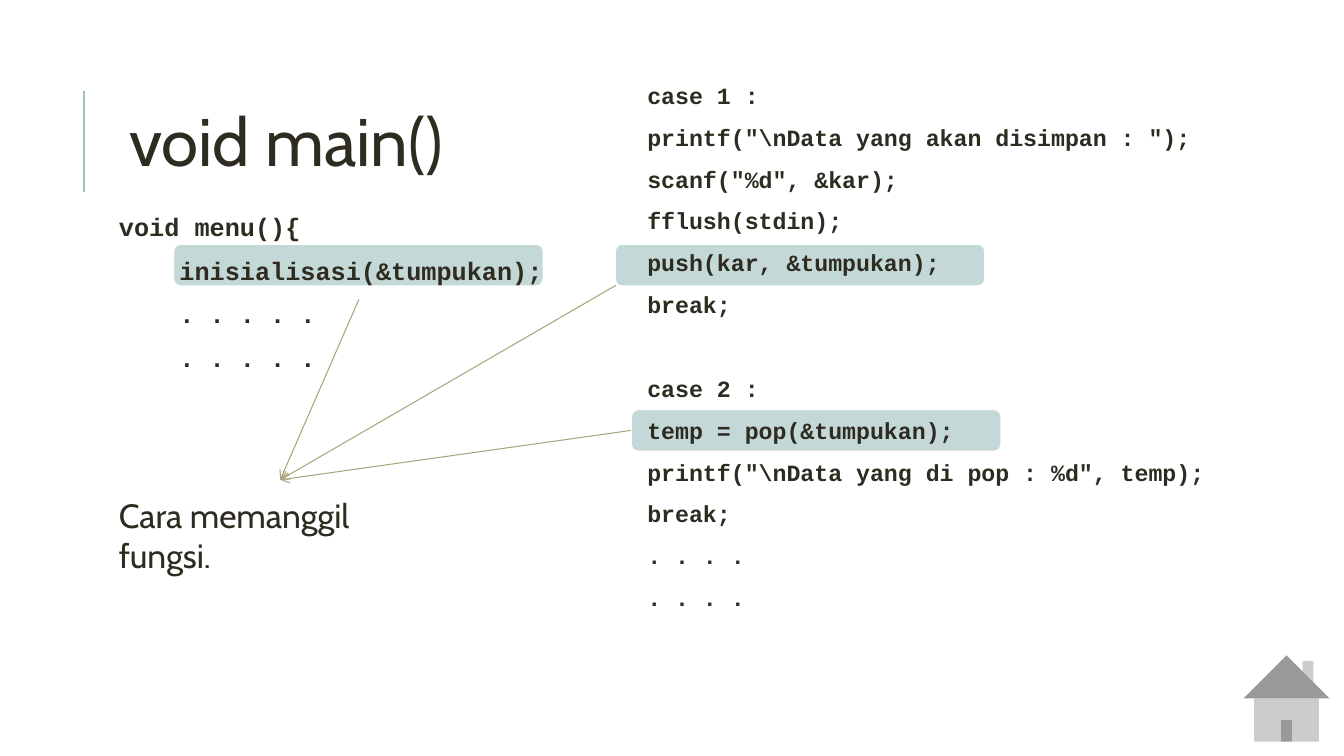
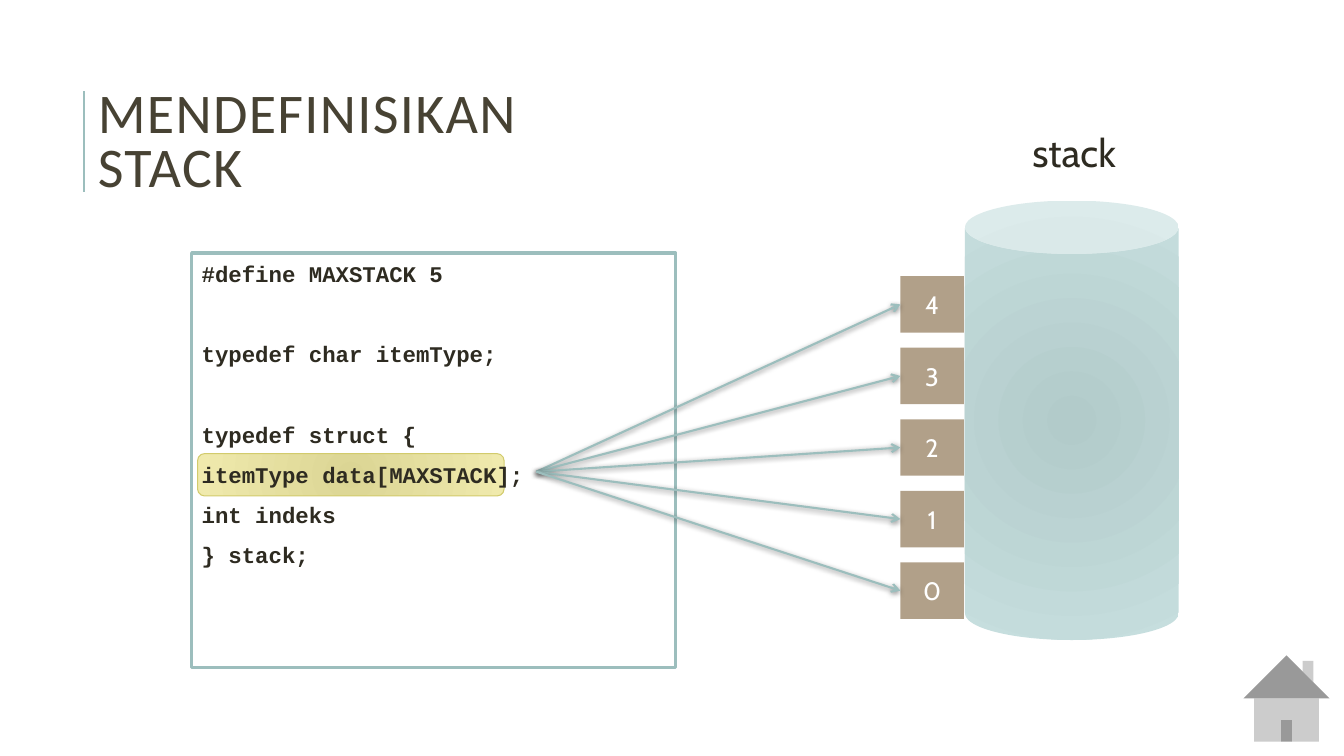
from lxml import etree
from pptx import Presentation
from pptx.dml.color import RGBColor
from pptx.enum.shapes import MSO_CONNECTOR, MSO_SHAPE
from pptx.enum.text import MSO_ANCHOR, MSO_AUTO_SIZE, PP_ALIGN
from pptx.oxml.ns import qn
from pptx.util import Pt

EMU_PER_PX = 9144
INK = RGBColor(0x2E, 0x2B, 0x21)
TITLE_BROWN = RGBColor(0x47, 0x42, 0x33)
TEAL = RGBColor(0x9C, 0xBE, 0xBD)
PALE_TEAL = RGBColor(0xC4, 0xD8, 0xD7)
OLIVE = RGBColor(0xA9, 0xA5, 0x7C)
TAN = RGBColor(0xB1, 0xA0, 0x89)
WHITE = RGBColor(0xFF, 0xFF, 0xFF)
CAN_INNER = RGBColor(0xB2, 0xCB, 0xCA)
CAN_OUTER = RGBColor(0xC6, 0xDE, 0xDE)
GOLD_INNER = RGBColor(0xDB, 0xD5, 0x94)
GOLD_OUTER = RGBColor(0xF0, 0xEA, 0xAD)
GOLD_EDGE = RGBColor(0xD2, 0xCB, 0x6C)

TEXT_FONT = "Cabin"
HEADING_FONT = "Calibri"
CODE_FONT = "Courier New"

RECTANGLE = MSO_SHAPE.RECTANGLE
ROUNDED = MSO_SHAPE.ROUNDED_RECTANGLE
CAN = MSO_SHAPE.CAN
HOME = MSO_SHAPE.ACTION_BUTTON_HOME
STRAIGHT = MSO_CONNECTOR.STRAIGHT
TOP, MIDDLE = MSO_ANCHOR.TOP, MSO_ANCHOR.MIDDLE
LEFT, CENTER = PP_ALIGN.LEFT, PP_ALIGN.CENTER
NO_AUTOFIT = MSO_AUTO_SIZE.NONE
LEFT_SIDE = 1

TWO_CONTENT, ONE_CONTENT = 3, 1


def px(length):
    return length * EMU_PER_PX


class Deck:
    def __init__(self):
        self.prs = Presentation()
        self.prs.slide_width = px(1333)
        self.prs.slide_height = px(750)
        self.slide = None

    def new_slide(self, layout):
        self.slide = self.prs.slides.add_slide(self.prs.slide_layouts[layout])
        self.line((83, 190), (83, 90), TEAL, 1.5)
        self.shape(HOME, (1219, 636, 114, 114), WHITE)

    def place(self, part, box):
        part.left, part.top, part.width, part.height = map(px, box)

    def frame(self, part, anchor):
        frame = part.text_frame
        frame.word_wrap = True
        frame.auto_size = NO_AUTOFIT
        frame.vertical_anchor = anchor
        return frame

    def run(self, paragraph, text, size, color=INK, font=TEXT_FONT, bold=False):
        run = paragraph.add_run()
        run.text = text
        run.font.size = Pt(size)
        run.font.name = font
        run.font.bold = bold
        run.font.color.rgb = color
        return run

    def title(self, box, text, size, color, font, line_spacing=1.0, tracking=0):
        heading = self.slide.shapes.title
        self.place(heading, box)
        paragraph = self.frame(heading, MIDDLE).paragraphs[0]
        paragraph.alignment = LEFT
        paragraph.line_spacing = line_spacing
        run = self.run(paragraph, text, size, color, font)
        run.font._element.set("spc", str(tracking * 100))

    def code(self, index, box, lines, size, pitch, before, inset=10):
        listing = self.slide.placeholders[index]
        self.place(listing, box)
        frame = self.frame(listing, TOP)
        frame.margin_left = frame.margin_right = px(inset)
        frame.margin_top = frame.margin_bottom = px(5)
        for number, (text, indent, skipped) in enumerate(lines):
            paragraph = frame.add_paragraph() if number else frame.paragraphs[0]
            paragraph.line_spacing = Pt(pitch)
            paragraph.space_before = Pt(before + skipped * (pitch + before + 2))
            paragraph.space_after = Pt(2)
            properties = paragraph._p.get_or_add_pPr()
            properties.set("marL", str(px(indent)))
            properties.set("indent", "0")
            etree.SubElement(properties, qn("a:buNone"))
            self.run(paragraph, text, size, font=CODE_FONT, bold=True)
        return listing

    def text(self, box, text, size):
        label = self.slide.shapes.add_textbox(*map(px, box))
        self.run(self.frame(label, TOP).paragraphs[0], text, size)

    def shape(self, kind, box, fill, edge=None, weight=0.75):
        shape = self.slide.shapes.add_shape(kind, *map(px, box))
        shape.shadow.inherit = False
        if isinstance(fill, RGBColor):
            shape.fill.solid()
            shape.fill.fore_color.rgb = fill
        else:
            self.radial(shape.fill, fill)
        if edge is None:
            shape.line.fill.background()
        else:
            shape.line.color.rgb = edge
            shape.line.width = Pt(weight)
        return shape

    def radial(self, fill, colors):
        fill.gradient()
        for stop, color in zip(fill.gradient_stops, colors):
            stop.color.rgb = color
        gradient = fill._fill._gradFill
        linear = gradient.find(qn("a:lin"))
        circle = etree.Element(qn("a:path"), {"path": "circle"})
        etree.SubElement(circle, qn("a:fillToRect"), dict.fromkeys("ltrb", "100000"))
        gradient.replace(linear, circle)

    def highlight(self, box, fill, edge, weight):
        band = self.shape(ROUNDED, box, fill, edge, weight)
        self.slide.shapes._spTree.insert(2, band._element)
        return band

    def cell(self, box, text):
        cell = self.shape(RECTANGLE, box, TAN)
        paragraph = self.frame(cell, MIDDLE).paragraphs[0]
        paragraph.alignment = CENTER
        self.run(paragraph, text, 18, WHITE)
        return cell

    def line(self, start, end, color, weight):
        line = self.slide.shapes.add_connector(STRAIGHT, *map(px, start + end))
        line.line.color.rgb = color
        line.line.width = Pt(weight)
        etree.SubElement(line._element.spPr, qn("a:effectLst"))
        return line

    def arrow(self, start, end, color, weight, shadow=False):
        arrow = self.line(start, end, color, weight)
        properties = arrow._element.spPr
        etree.SubElement(properties.find(qn("a:ln")), qn("a:tailEnd"), type="arrow")
        if shadow:
            outer = etree.SubElement(
                properties.find(qn("a:effectLst")), qn("a:outerShdw"),
                blurRad=str(Pt(4)), dist=str(Pt(1)), dir="5400000", rotWithShape="0")
            black = etree.SubElement(outer, qn("a:srgbClr"), val="000000")
            etree.SubElement(black, qn("a:alpha"), val="50000")
        return arrow


def calling_functions(deck):
    deck.new_slide(TWO_CONTENT)
    deck.title((118, 93, 371, 91), "void main()", 48, INK, TEXT_FONT)
    deck.code(1, (108, 202, 480, 411), [
        ("void menu(){", 0, 0),
        ("inisialisasi(&tumpukan);", 60, 0),
        (". . . . .", 60, 0),
        (". . . . .", 60, 0),
    ], 18, 23.3, 6)
    deck.code(2, (627, 81, 621, 567), [
        ("case 1 :", 10, 0),
        ('printf("\\nData yang akan disimpan : ");', 10, 0),
        ('scanf("%d", &kar);', 10, 0),
        ("fflush(stdin);", 10, 0),
        ("push(kar, &tumpukan);", 10, 0),
        ("break;", 10, 0),
        ("case 2 :", 10, 1),
        ("temp = pop(&tumpukan);", 10, 0),
        ('printf("\\nData yang di pop : %d", temp);', 10, 0),
        ("break;", 10, 0),
        (". . . .", 10, 0),
        (". . . .", 10, 0),
    ], 16.6, 15.9, 12, inset=5)
    pop_call = [
        deck.highlight((left, top, 367, 42), PALE_TEAL, WHITE, 1.25)
        for left, top in ((172, 242), (610, 242), (626, 406))][-1]
    note = (278, 476)
    deck.arrow((356, 297), note, OLIVE, 0.75)
    deck.arrow((611, 283), note, OLIVE, 0.75)
    pop_arrow = deck.arrow((626, 427), note, OLIVE, 0.75)
    pop_arrow.begin_connect(pop_call, LEFT_SIDE)
    deck.text((108, 486, 300, 90), "Cara memanggil fungsi.", 24)


def defining_stack(deck):
    deck.new_slide(ONE_CONTENT)
    deck.title((87, 96, 447, 95), "MENDEFINISIKAN STACK", 40, TITLE_BROWN,
               HEADING_FONT, 0.8, 1)
    definition = deck.code(1, (190, 251, 480, 411), [
        ("#define MAXSTACK 5", 0, 0),
        ("typedef char itemType;", 0, 1),
        ("typedef struct {", 0, 1),
        ("itemType data[MAXSTACK];", 0, 0),
        ("int indeks", 0, 0),
        ("} stack;", 0, 0),
    ], 16, 20.7, 6)
    definition.line.color.rgb = TEAL
    definition.line.width = Pt(2.25)
    deck.highlight((196, 450, 304, 42), (GOLD_INNER, GOLD_OUTER), GOLD_EDGE, 0.75)
    deck.shape(CAN, (957, 199, 212, 436), (CAN_INNER, CAN_OUTER))
    deck.text((1014, 122, 114, 57), "stack", 28)
    for row, position in enumerate("43210"):
        top = 274 + 71 * row
        cell = deck.cell((893, top, 63, 56), position)
        arrow = deck.arrow((532, 468), (893, top + 28), TEAL, 1.5, shadow=True)
        arrow.end_connect(cell, LEFT_SIDE)


def main():
    deck = Deck()
    calling_functions(deck)
    defining_stack(deck)
    deck.prs.save("out.pptx")


if __name__ == "__main__":
    main()
